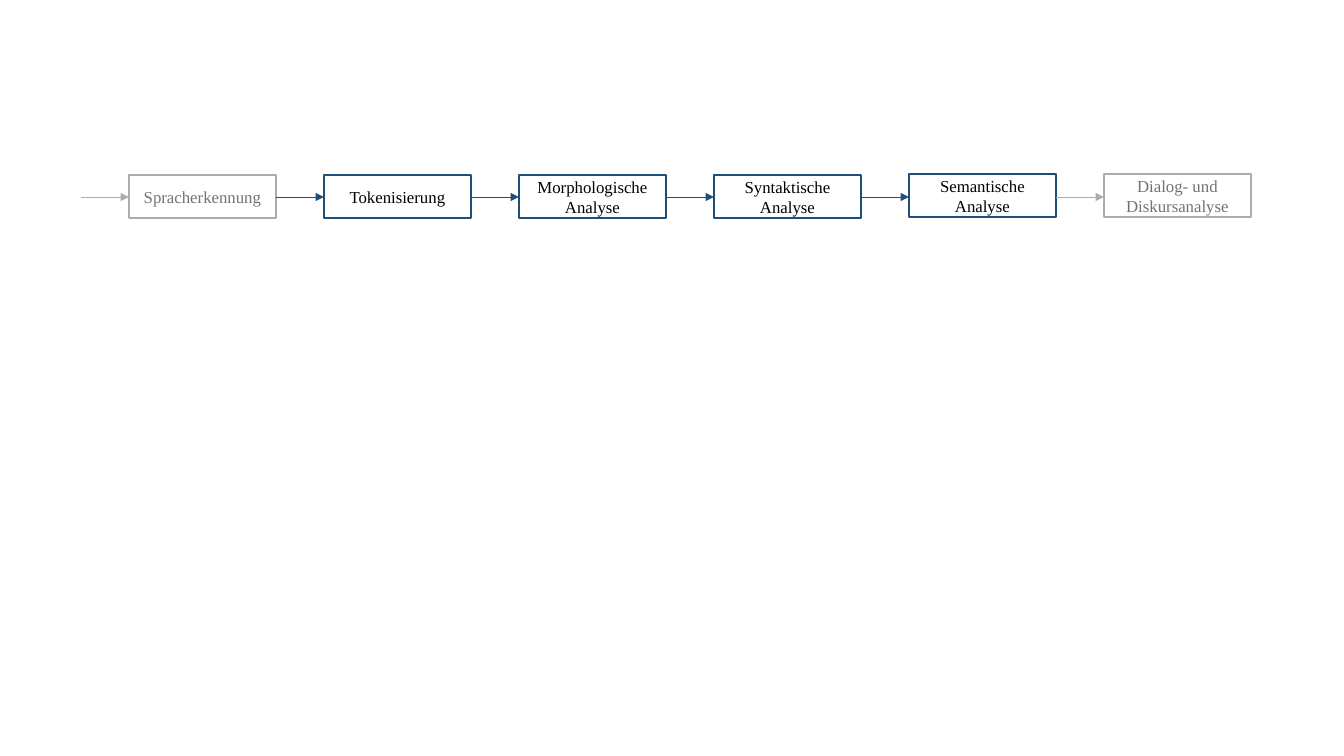
from lxml import etree
from pptx import Presentation
from pptx import util as u
from pptx.dml import color as c
from pptx.enum import shapes, text
from pptx.oxml import ns

EMU_PER_PIXEL = 914400 / 100.8
BLUE, BLACK = "1F4E79", "000000"
LIGHT_GRAY, DARK_GRAY = "AFABAB", "767171"


def px(pixels):
    """Turn picture pixels into EMU."""
    return u.Emu(round(pixels * EMU_PER_PIXEL))


def rgb(value):
    """Turn a hex string into a colour."""
    return c.RGBColor.from_string(value)


def write(frame, content, font="Times New Roman", size=12, color=BLACK):
    """Put centred, formatted text into a frame."""
    frame.word_wrap = True
    frame.vertical_anchor = text.MSO_ANCHOR.MIDDLE
    paragraph = frame.paragraphs[0]
    paragraph.alignment = text.PP_ALIGN.CENTER
    run = paragraph.add_run()
    run.text = content
    run.font.name = font
    run.font.size = u.Pt(size)
    run.font.color.rgb = rgb(color)


class Pipeline:
    """Hold the style and the current slide."""

    box_line, arrow_line = 1, 0.5

    def __init__(self, slide):
        """Keep the slide to draw on."""
        self.slide = slide

    def style_line(self, line, color, width):
        """Set the colour and width of a line."""
        line.color.rgb = rgb(color)
        line.width = u.Pt(width)

    def box(self, left, top, width, height, label, line_color, text_color):
        """Add one outlined stage with its label."""
        shape = self.slide.shapes.add_shape(
            shapes.MSO_SHAPE.RECTANGLE, px(left), px(top), px(width), px(height))
        shape.shadow.inherit = False
        shape.fill.background()
        self.style_line(shape.line, line_color, self.box_line)
        write(shape.text_frame, label, color=text_color)

    def arrow(self, start, end, y, color):
        """Add a horizontal arrow pointing right."""
        connector = self.slide.shapes.add_connector(
            shapes.MSO_CONNECTOR.STRAIGHT, px(start), px(y), px(end), px(y))
        self.style_line(connector.line, color, self.arrow_line)
        properties = connector._element.spPr
        etree.SubElement(properties.find(ns.qn("a:ln")), ns.qn("a:tailEnd"), type="triangle")
        etree.SubElement(properties, ns.qn("a:effectLst"))


def main():
    """Build the language processing pipeline slide."""
    presentation = Presentation()
    presentation.slide_width, presentation.slide_height = px(1344), px(756)
    pipeline = Pipeline(presentation.slides.add_slide(presentation.slide_layouts[6]))

    first_left, pitch, width, height = 129, 195, 147, 43
    gap, arrow_y = pitch - width, 197
    outer, core = (LIGHT_GRAY, DARK_GRAY), (BLUE, BLACK)
    stages = [
        ("Spracherkennung", 175, outer, LIGHT_GRAY),
        ("Tokenisierung", 175, core, BLUE),
        ("Morphologische Analyse", 175, core, BLUE),
        ("Syntaktische Analyse", 175, core, BLUE),
        ("Semantische Analyse", 174, core, BLUE),
        ("Dialog- und Diskursanalyse", 174, outer, LIGHT_GRAY),
    ]
    for index, (label, top, colors, arrow_color) in enumerate(stages):
        left = first_left + index * pitch
        pipeline.box(left, top, width, height, label, *colors)
        pipeline.arrow(left - gap, left, arrow_y, arrow_color)

    presentation.save("out.pptx")


main()
